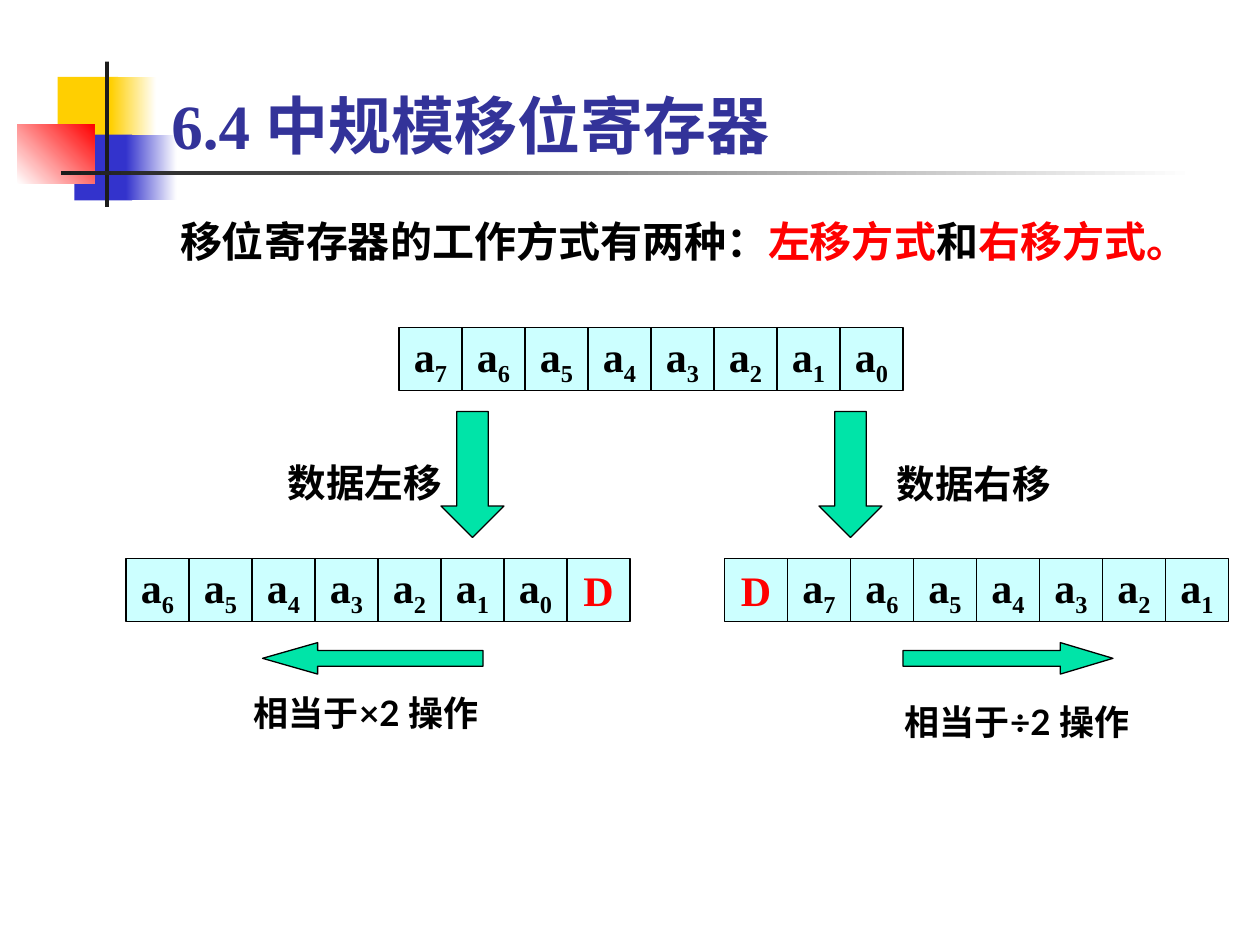
from dataclasses import dataclass

from pptx import Presentation
from pptx import util as u
from pptx.dml import color
from pptx.enum import shapes, text


@dataclass(frozen=True)
class Theme:
    yellow: str = "FFCF01"
    blue: str = "3333CC"
    red: str = "FF0000"
    dark: str = "1C1C1C"
    white: str = "FFFFFF"
    black: str = "000000"
    title: str = "333399"
    cell: str = "CCFFFF"
    arrow: str = "00E4A8"
    serif: str = "Times New Roman"
    sans: str = "Lato"
    title_size: int = 36
    body_size: int = 24
    label_size: int = 22
    note_size: int = 20


theme = Theme()
KINDS = shapes.MSO_SHAPE


def write_text(shape, parts, size=theme.body_size, font=theme.sans, align=text.PP_ALIGN.LEFT,
               anchor=text.MSO_ANCHOR.TOP, wrap=False, spacing=None):
    frame = shape.text_frame
    frame.word_wrap = wrap
    frame.vertical_anchor = anchor
    paragraph = frame.paragraphs[0]
    paragraph.alignment = align
    if spacing:
        paragraph.line_spacing = spacing
    for words, tint, baseline in parts:
        run = paragraph.add_run()
        run.text = words
        run.font.name = font
        run.font.size = u.Pt(size)
        run.font.bold = True
        run.font.color.rgb = color.RGBColor.from_string(tint)
        if baseline:
            run.font._element.set("baseline", str(baseline))


def draw_shape(kind, box, colors, angle=0, outlined=False):
    shape = slide.shapes.add_shape(kind, *map(u.Pt, box))
    shape.shadow.inherit = False
    if len(colors) == 1:
        shape.fill.solid()
        shape.fill.fore_color.rgb = color.RGBColor.from_string(colors[0])
    else:
        shape.fill.gradient()
        shape.fill.gradient_angle = angle
        for stop, tint in zip(shape.fill.gradient_stops, colors):
            stop.color.rgb = color.RGBColor.from_string(tint)
    if outlined:
        shape.line.color.rgb = color.RGBColor.from_string(theme.black)
        shape.line.width = u.Pt(0.75)
    else:
        shape.line.fill.background()
    return shape


presentation = Presentation()
presentation.slide_width = u.Pt(720)
presentation.slide_height = u.Pt(540)
slide = presentation.slides.add_slide(presentation.slide_layouts[6])

ornaments = [
    ((33, 44, 34.5, 37.5), [theme.yellow], 0),
    ((63.3, 44, 26, 37.5), [theme.yellow, theme.white], 0),
    ((42.5, 77, 33, 37.5), [theme.blue], 0),
    ((72, 77, 29, 37.5), [theme.blue, theme.white], 0),
    ((10, 71, 44, 34), [theme.white, theme.red], 45),
    ((60, 35.3, 2.3, 83), [theme.dark], 0),
    ((34.8, 97.8, 648, 2.3), [theme.dark, theme.white], 0),
]
for box, colors, angle in ornaments:
    draw_shape(KINDS.RECTANGLE, box, colors, angle)

title = slide.shapes.add_textbox(*map(u.Pt, (90.9, 6, 613.5, 90)))
write_text(title, [("6.4 中规模移位寄存器", theme.title, 0)], size=theme.title_size,
           font=theme.serif, anchor=text.MSO_ANCHOR.BOTTOM, wrap=True)

intro = slide.shapes.add_textbox(*map(u.Pt, (95.8, 114, 593, 42)))
write_text(intro, [("移位寄存器的工作方式有两种：", theme.black, 0), ("左移方式", theme.red, 0),
                   ("和", theme.black, 0), ("右移方式。", theme.red, 0)], spacing=1.2)

CELL = 36
registers = [(228, 187.2, "76543210"), (72, 319, "6543210D"), (414, 319, "D7654321")]
for left, top, bits in registers:
    for index, bit in enumerate(bits):
        cell = draw_shape(KINDS.RECTANGLE, (left + index * CELL, top, CELL, CELL),
                          [theme.cell], outlined=True)
        if bit == "D":
            parts = [("D", theme.red, 0)]
        else:
            parts = [("a", theme.black, 0), (bit, theme.black, -25000)]
        write_text(cell, parts, font=theme.serif, align=text.PP_ALIGN.CENTER,
                   anchor=text.MSO_ANCHOR.MIDDLE)

arrows = [
    (KINDS.DOWN_ARROW, (252, 235.2, 36, 72), 0.5),
    (KINDS.DOWN_ARROW, (468, 235.2, 36, 72), 0.5),
    (KINDS.LEFT_ARROW, (150, 367.2, 126, 18), 1.75),
    (KINDS.RIGHT_ARROW, (516, 367.2, 120, 18), 1.67),
]
for kind, box, head in arrows:
    arrow = draw_shape(kind, box, [theme.arrow], outlined=True)
    arrow.adjustments[0] = 0.5
    arrow.adjustments[1] = head

labels = [
    ("数据左移", (157.4, 259, 103, 34), theme.label_size),
    ("数据右移", (505.4, 259.4, 103, 34), theme.label_size),
    ("相当于×2 操作", (138, 391.7, 154, 31), theme.note_size),
    ("相当于÷2 操作", (510, 396.7, 154, 31), theme.note_size),
]
for words, box, size in labels:
    label = slide.shapes.add_textbox(*map(u.Pt, box))
    write_text(label, [(words, theme.black, 0)], size=size)

presentation.save("out.pptx")
